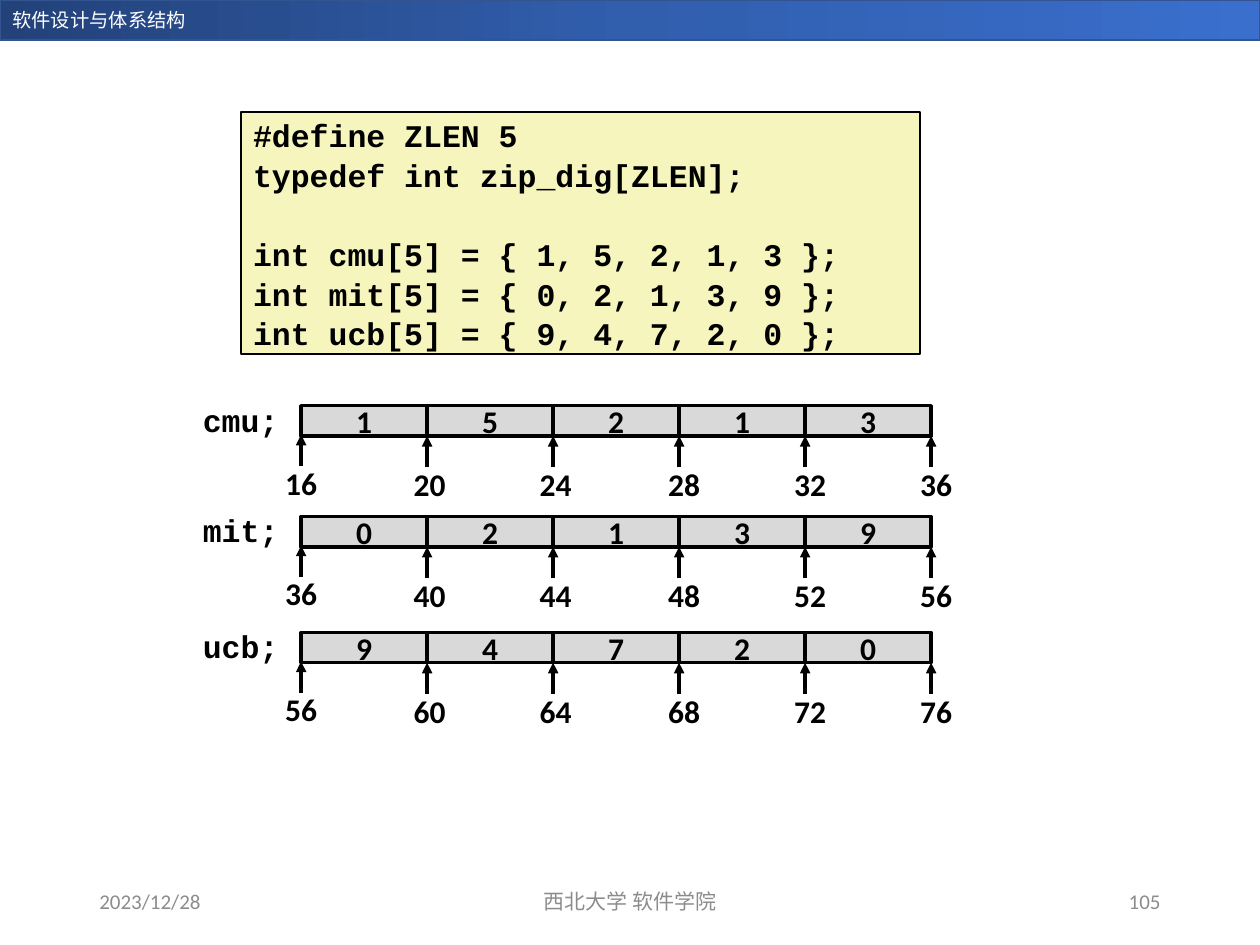
"""Build a slide showing how C integer arrays are laid out in memory."""
from copy import deepcopy

from lxml import etree
from pptx import Presentation, util as u
from pptx.dml.color import RGBColor
from pptx.enum import shapes, text
from pptx.oxml.ns import qn

BLACK = RGBColor(0x00, 0x00, 0x00)
WHITE = RGBColor(0xFF, 0xFF, 0xFF)
GREY = RGBColor(0x8C, 0x8C, 0x8C)
CELL_GREY = RGBColor(0xD9, 0xD9, 0xD9)
CODE_YELLOW = RGBColor(0xF6, 0xF5, 0xBD)
HEADER_LINE = RGBColor(0x32, 0x54, 0x91)
HEADER_STOPS = [
    (0, RGBColor(0x23, 0x42, 0x7A)),
    (0.5, RGBColor(0x31, 0x5E, 0xAD)),
    (1, RGBColor(0x3A, 0x6F, 0xCE)),
]
LEFT, CENTER, RIGHT = text.PP_ALIGN.LEFT, text.PP_ALIGN.CENTER, text.PP_ALIGN.RIGHT
TOP, MIDDLE = text.MSO_ANCHOR.TOP, text.MSO_ANCHOR.MIDDLE
BODY_FONT, CODE_FONT = "Calibri", "Courier New"

COURSE = "软件设计与体系结构"
FOOTER = [
    ("2023/12/28", 0.69, 2.25, LEFT),
    ("西北大学 软件学院", 3.31, 3.38, CENTER),
    ("105", 7.06, 2.25, RIGHT),
]
CODE = """#define ZLEN 5
typedef int zip_dig[ZLEN];

int cmu[5] = { 1, 5, 2, 1, 3 };
int mit[5] = { 0, 2, 1, 3, 9 };
int ucb[5] = { 9, 4, 7, 2, 0 };"""
ARRAYS = [
    ("cmu;", [1, 5, 2, 1, 3], 16, 3.22),
    ("mit;", [0, 2, 1, 3, 9], 36, 4.1),
    ("ucb;", [9, 4, 7, 2, 0], 56, 5.02),
]
INT_BYTES = 4
CELL_LEFT, CELL_WIDTH, CELL_HEIGHT = 2.39, 1, 0.24
ARROW_LENGTH = 0.25
LABEL_WIDTH = 1.08
LABEL_SHIFTS = [0, 0.02, 0.02, 0.04, 0.04, 0.04]


def write(shape, words, size, font=BODY_FONT, color=BLACK, bold=False,
          align=LEFT, anchor=TOP, wrap=True):
    frame = shape.text_frame
    frame.text = words
    frame.word_wrap = wrap
    frame.vertical_anchor = anchor
    for para in frame.paragraphs:
        para.alignment = align
        para.font.size = u.Pt(size)
        for span in para.runs:
            span.font.name = font
            span.font.size = u.Pt(size)
            span.font.bold = bold
            span.font.color.rgb = color


def add_text(parent, words, left, top, width, height, size, **style):
    box = parent.add_textbox(*map(u.Inches, (left, top, width, height)))
    write(box, words, size, **style)


def add_box(parent, left, top, width, height, line_color, line_width, fill=None):
    box = parent.add_shape(shapes.MSO_SHAPE.RECTANGLE,
                           *map(u.Inches, (left, top, width, height)))
    box.shadow.inherit = False
    if fill is not None:
        box.fill.solid()
        box.fill.fore_color.rgb = fill
    box.line.color.rgb = line_color
    box.line.width = u.Pt(line_width)
    return box


def add_up_arrow(parent, x, tip):
    ends = map(u.Inches, (x, tip + ARROW_LENGTH, x, tip))
    arrow = parent.add_connector(shapes.MSO_CONNECTOR.STRAIGHT, *ends)
    arrow.line.color.rgb = BLACK
    arrow.line.width = u.Pt(2)
    etree.SubElement(arrow.line._get_or_add_ln(), qn("a:tailEnd"), type="triangle")
    etree.SubElement(arrow._element.spPr, qn("a:effectLst"))


def add_header(page):
    bar = add_box(page.shapes, 0, 0, 10, 0.32, HEADER_LINE, 1)
    bar.fill.gradient()
    bar.fill.gradient_angle = 0
    stop_list = bar._element.spPr.find(".//" + qn("a:gsLst"))
    stop_list.append(deepcopy(stop_list[-1]))
    for stop, (position, color) in zip(bar.fill.gradient_stops, HEADER_STOPS):
        stop.position = position
        stop.color.rgb = color
    add_text(page.shapes, COURSE, 0, 0.02, 2.49, 0.29, 11, color=WHITE)


def add_array(page, name, digits, address, top):
    add_text(page.shapes, name, 0.69, top - 0.09, 2.44, 0.4, 18,
             font=CODE_FONT, bold=True, align=CENTER)
    group = page.shapes.add_group_shape().shapes
    for index, digit in enumerate(digits):
        cell = add_box(group, CELL_LEFT + index * CELL_WIDTH, top,
                       CELL_WIDTH, CELL_HEIGHT, BLACK, 2, CELL_GREY)
        write(cell, str(digit), 18, bold=True, align=CENTER,
              anchor=MIDDLE, wrap=False)
    for index, shift in enumerate(LABEL_SHIFTS):
        x = CELL_LEFT + index * CELL_WIDTH
        drop = 0.01 if index else 0
        add_up_arrow(group, x, top + 0.23 + drop)
        add_text(group, str(address + index * INT_BYTES),
                 x + shift - LABEL_WIDTH / 2, top + 0.41 + drop,
                 LABEL_WIDTH, 0.4, 18, bold=True, align=CENTER)


def main():
    deck = Presentation()
    deck.slide_width, deck.slide_height = u.Inches(10), u.Inches(7.5)
    page = deck.slides.add_slide(deck.slide_layouts[6])
    add_header(page)
    for words, left, width, align in FOOTER:
        add_text(page.shapes, words, left, 6.95, width, 0.4, 12,
                 color=GREY, align=align, anchor=MIDDLE)
    code_box = add_box(page.shapes, 1.91, 0.89, 5.39, 1.92, BLACK, 1, CODE_YELLOW)
    write(code_box, CODE, 18, font=CODE_FONT, bold=True, anchor=MIDDLE)
    for para in code_box.text_frame.paragraphs:
        para.line_spacing = 1.05
    for array in ARRAYS:
        add_array(page, *array)
    deck.save("out.pptx")


if __name__ == "__main__":
    main()
